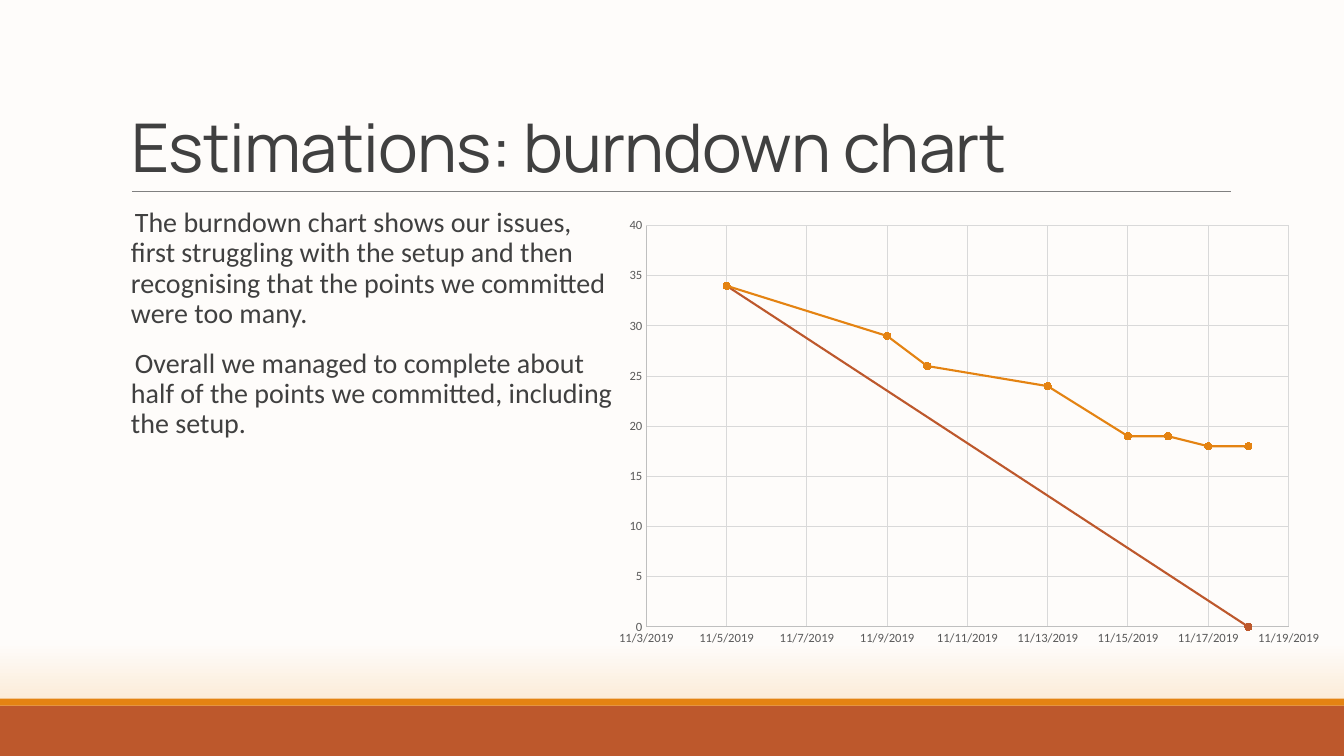
"""Build the burndown chart slide."""
from dataclasses import dataclass

from lxml.etree import SubElement
from pptx import Presentation
from pptx.chart.data import XyChartData
from pptx.dml.color import RGBColor
from pptx.enum.chart import XL_AXIS_CROSSES as Crosses
from pptx.enum.chart import XL_CHART_TYPE as ChartType
from pptx.enum.chart import XL_MARKER_STYLE as Marker
from pptx.enum.chart import XL_TICK_MARK as Tick
from pptx.enum.shapes import MSO_CONNECTOR as Connector
from pptx.enum.shapes import MSO_SHAPE as Shape
from pptx.enum.text import MSO_ANCHOR as Anchor
from pptx.enum.text import MSO_AUTO_SIZE as AutoSize
from pptx.enum.text import PP_ALIGN as Align
from pptx.oxml.ns import qn
from pptx.util import Pt


@dataclass(frozen=True)
class Theme:
    orange: str = "E48312"
    rust: str = "BD582C"
    text: str = "404040"
    label: str = "595959"
    rule: str = "808080"
    axis: str = "BFBFBF"
    grid: str = "D9D9D9"
    cream: str = "FEFCFA"
    peach: str = "F9DAB6"
    title_font: str = "Manrope"
    body_font: str = "Calibri"
    title_size: float = 48
    body_size: float = 20
    label_size: float = 9


@dataclass(frozen=True)
class Band:
    top: float
    height: float
    color: str


@dataclass(frozen=True)
class Burndown:
    name: str
    color: str
    points: tuple[tuple[int, int], ...]


@dataclass(frozen=True)
class Scale:
    low: float
    high: float
    step: float
    number_format: str


THEME = Theme()
WIDTH, HEIGHT = 960, 540
OCTOBER_END = 43769
BANDS = (Band(504, 36, THEME.rust), Band(499, 5, THEME.orange))
SERIES = (
    Burndown("Series 1", THEME.orange, (
        (5, 34), (9, 29), (10, 26), (13, 24), (15, 19), (16, 19), (17, 18), (18, 18))),
    Burndown("Series 2", THEME.rust, ((5, 34), (18, 0))),
)
DATES = Scale(OCTOBER_END + 3, OCTOBER_END + 19, 2, "m/d/yyyy")
POINTS = Scale(0, 40, 5, "General")
PARAGRAPHS = (
    "The burndown chart shows our issues, first struggling with the setup and then "
    "recognising that the points we committed were too many.",
    "Overall we managed to complete about half of the points we committed, "
    "including the setup.",
)
PLOT = {"x": 0.039, "y": 0.074, "w": 0.884, "h": 0.869}


def rgb(color: str) -> RGBColor:
    return RGBColor.from_string(color)


def style_font(font, name: str, size: float, color: str) -> None:
    font.name, font.size, font.bold = name, Pt(size), False
    font.color.rgb = rgb(color)


def style_line(line, color: str, width: float) -> None:
    line.color.rgb = rgb(color)
    line.width = Pt(width)


def paint_background(slide) -> None:
    fill = slide.background.fill
    fill.gradient()
    fill.gradient_angle = 270
    stops = ((0.85, THEME.cream), (1, THEME.peach))
    for stop, (position, color) in zip(fill.gradient_stops, stops):
        stop.position = position
        stop.color.rgb = rgb(color)


def add_band(slide, band: Band) -> None:
    box = slide.shapes.add_shape(Shape.RECTANGLE, 0, Pt(band.top), Pt(WIDTH), Pt(band.height))
    box.shadow.inherit = False
    box.fill.solid()
    box.fill.fore_color.rgb = rgb(band.color)
    box.line.fill.background()


def add_rule(slide) -> None:
    rule = slide.shapes.add_connector(
        Connector.STRAIGHT, Pt(94.3), Pt(136.8), Pt(879.1), Pt(136.8))
    style_line(rule.line, THEME.rule, 0.5)
    SubElement(rule.line._get_or_add_ln().getparent(), qn("a:effectLst"))


def set_title(slide) -> None:
    title = slide.shapes.title
    title.left, title.top, title.width, title.height = Pt(86.4), Pt(22.3), Pt(792), Pt(114.5)
    frame = title.text_frame
    frame.text = "Estimations: burndown chart"
    frame.auto_size = AutoSize.NONE
    frame.vertical_anchor = Anchor.BOTTOM
    para = frame.paragraphs[0]
    para.alignment, para.line_spacing = Align.LEFT, 0.85
    span = para.runs[0]
    style_font(span.font, THEME.title_font, THEME.title_size, THEME.text)
    span.font._element.set("spc", "-50")


def add_body(slide) -> None:
    box = slide.shapes.add_textbox(Pt(86.4), Pt(145.4), Pt(355), Pt(316.8))
    frame = box.text_frame
    frame.word_wrap = True
    frame.margin_left = frame.margin_right = 0
    frame.text = "\n".join(PARAGRAPHS)
    for para in frame.paragraphs:
        para.line_spacing, para.space_before, para.space_after = 0.9, Pt(12), Pt(2)
        style_font(para.runs[0].font, THEME.body_font, THEME.body_size, THEME.text)
        properties = para._p.get_or_add_pPr()
        properties.set("marL", str(Pt(7.2)))
        properties.set("indent", str(-Pt(7.2)))
        bullet_color = SubElement(properties, qn("a:buClr"))
        SubElement(bullet_color, qn("a:srgbClr"), val=THEME.orange)
        SubElement(properties, qn("a:buChar"), char=" ")


def style_axis(axis, scale: Scale) -> None:
    axis.minimum_scale, axis.maximum_scale, axis.major_unit = scale.low, scale.high, scale.step
    axis.major_tick_mark = axis.minor_tick_mark = Tick.NONE
    axis.crosses = Crosses.MINIMUM
    axis.has_major_gridlines = True
    style_line(axis.major_gridlines.format.line, THEME.grid, 0.75)
    style_line(axis.format.line, THEME.axis, 0.75)
    labels = axis.tick_labels
    labels.number_format, labels.number_format_is_linked = scale.number_format, False
    style_font(labels.font, THEME.body_font, THEME.label_size, THEME.label)


def place_plot(chart) -> None:
    area = chart._chartSpace.chart.plotArea
    for old in area.findall(qn("c:layout")):
        area.remove(old)
    layout = SubElement(area, qn("c:layout"))
    area.insert(0, layout)
    manual = SubElement(layout, qn("c:manualLayout"))
    SubElement(manual, qn("c:layoutTarget"), val="inner")
    for side in ("x", "y"):
        SubElement(manual, qn(f"c:{side}Mode"), val="edge")
    for side, share in PLOT.items():
        SubElement(manual, qn(f"c:{side}"), val=str(share))


def add_burndown_chart(slide) -> None:
    data = XyChartData()
    for burndown in SERIES:
        series = data.add_series(burndown.name)
        for day, points in burndown.points:
            series.add_data_point(OCTOBER_END + day, points)
    chart = slide.shapes.add_chart(
        ChartType.XY_SCATTER_LINES, Pt(441.4), Pt(136.8), Pt(519), Pt(329.8), data).chart
    chart.has_title = chart.has_legend = False
    style_font(chart.font, THEME.body_font, 10, "000000")
    chart.plots[0].vary_by_categories = False
    style_axis(chart.category_axis, DATES)
    style_axis(chart.value_axis, POINTS)
    for series, burndown in zip(chart.plots[0].series, SERIES):
        series.smooth = False
        style_line(series.format.line, burndown.color, 1.5)
        marker = series.marker
        marker.style, marker.size = Marker.CIRCLE, 5
        marker.format.fill.solid()
        marker.format.fill.fore_color.rgb = rgb(burndown.color)
        style_line(marker.format.line, burndown.color, 0.75)
    place_plot(chart)


def main() -> None:
    deck = Presentation()
    deck.slide_width, deck.slide_height = Pt(WIDTH), Pt(HEIGHT)
    page = deck.slides.add_slide(deck.slide_layouts.get_by_name("Title Only"))
    paint_background(page)
    for band in BANDS:
        add_band(page, band)
    add_rule(page)
    set_title(page)
    add_body(page)
    add_burndown_chart(page)
    deck.save("out.pptx")


if __name__ == "__main__":
    main()
